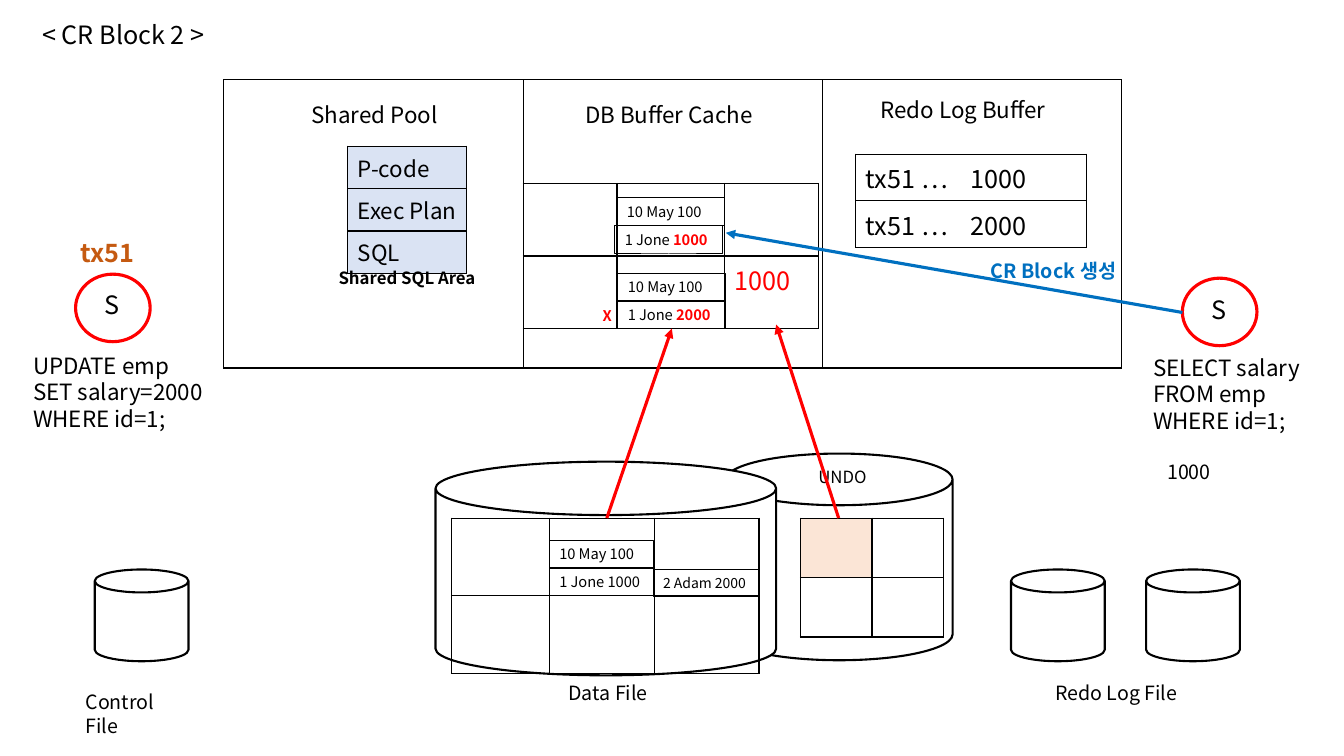
"""Draw the CR Block diagram on a grid of tenth-of-an-inch columns and rows."""
from dataclasses import dataclass, field

from lxml.etree import SubElement
from pptx import Presentation
from pptx.dml.color import RGBColor
from pptx.enum.shapes import MSO_CONNECTOR, MSO_SHAPE
from pptx.enum.text import MSO_ANCHOR, MSO_AUTO_SIZE, PP_ALIGN
from pptx.oxml import parse_xml
from pptx.oxml.ns import nsdecls, qn
from pptx.util import Inches, Pt

FONT = "Noto Sans CJK KR"
BLACK, WHITE, RED, BLUE = "000000", "FFFFFF", "FF0000", "0070C0"
ORANGE, PALE_BLUE, PALE_ORANGE = "C55A11", "DAE3F3", "FBE5D6"


@dataclass(frozen=True)
class Area:
    column: float
    row: float
    columns: float
    rows: float

    def box(self) -> tuple:
        return tuple(grid(n) for n in (self.column, self.row, self.columns, self.rows))


@dataclass(frozen=True)
class Label:
    area: Area
    lines: tuple
    size: float
    color: str = BLACK
    bold: bool = False
    align: PP_ALIGN = PP_ALIGN.LEFT


@dataclass(frozen=True)
class Record:
    area: Area
    name: str
    salary: str = ""
    size: float = 10.5


@dataclass(frozen=True)
class Table:
    column: float
    row: float
    widths: tuple
    heights: tuple
    texts: dict = field(default_factory=dict)
    fills: dict = field(default_factory=dict)
    size: float = 18
    color: str = BLACK
    tab: float = 0


@dataclass(frozen=True)
class Arrow:
    start: tuple
    end: tuple
    color: str


def grid(count: float) -> int:
    return Inches(round(count / 10, 3))


def rgb(color: str) -> RGBColor:
    return RGBColor.from_string(color)


def style(para, size: float, color: str, bold: bool = False) -> None:
    font = para.font
    font.name, font.size, font.bold = FONT, Pt(size), bold
    font.color.rgb = rgb(color)
    SubElement(para._p.pPr.find(qn("a:defRPr")), qn("a:ea"), typeface=FONT)


def draw_shape(page, kind: MSO_SHAPE, area: Area, color: str, width: float, fill: str = ""):
    shape = page.shapes.add_shape(kind, *area.box())
    shape.shadow.inherit = False
    shape.line.color.rgb = rgb(color)
    shape.line.width = Pt(width)
    if fill:
        shape.fill.solid()
        shape.fill.fore_color.rgb = rgb(fill)
    else:
        shape.fill.background()
    return shape


def draw_label(page, label: Label) -> None:
    frame = page.shapes.add_textbox(*label.area.box()).text_frame
    frame.word_wrap = True
    frame.auto_size = MSO_AUTO_SIZE.SHAPE_TO_FIT_TEXT
    for index, line in enumerate(label.lines):
        para = frame.add_paragraph() if index else frame.paragraphs[0]
        para.text = line
        para.alignment = label.align
        style(para, label.size, label.color, label.bold)


def draw_record(page, record: Record):
    shape = draw_shape(page, MSO_SHAPE.RECTANGLE, record.area, BLACK, 0.75)
    frame = shape.text_frame
    frame.word_wrap = True
    frame.vertical_anchor = MSO_ANCHOR.TOP
    frame.auto_size = MSO_AUTO_SIZE.SHAPE_TO_FIT_TEXT
    para = frame.paragraphs[0]
    para.alignment = PP_ALIGN.LEFT
    para.add_run().text = record.name
    style(para, record.size, BLACK)
    if record.salary:
        span = para.add_run()
        span.text = record.salary
        span.font.bold = True
        span.font.color.rgb = rgb(RED)
    return shape


def draw_table(page, spec: Table) -> None:
    area = Area(spec.column, spec.row, sum(spec.widths), sum(spec.heights))
    table = page.shapes.add_table(len(spec.heights), len(spec.widths), *area.box()).table
    table.first_row = table.horz_banding = False
    for column, width in zip(table.columns, spec.widths):
        column.width = grid(width)
    for row_index, height in enumerate(spec.heights):
        table.rows[row_index].height = grid(height)
        for column_index in range(len(spec.widths)):
            place = (row_index, column_index)
            cell = table.cell(*place)
            if place in spec.fills:
                cell.fill.solid()
                cell.fill.fore_color.rgb = rgb(spec.fills[place])
            else:
                cell.fill.background()
            for index, side in enumerate("LRTB"):
                cell._tc.tcPr.insert(index, parse_xml(
                    f'<a:ln{side} {nsdecls("a")} w="12700"><a:solidFill>'
                    f'<a:srgbClr val="{BLACK}"/></a:solidFill></a:ln{side}>'))
            para = cell.text_frame.paragraphs[0]
            para.text = spec.texts.get(place, "")
            if spec.tab:
                stops = SubElement(para._p.get_or_add_pPr(), qn("a:tabLst"))
                SubElement(stops, qn("a:tab"), pos=str(grid(spec.tab)), algn="l")
            style(para, spec.size, spec.color)


def draw_arrow(page, arrow: Arrow):
    ends = [grid(n) for n in arrow.start + arrow.end]
    line = page.shapes.add_connector(MSO_CONNECTOR.STRAIGHT, *ends)
    line.line.color.rgb = rgb(arrow.color)
    line.line.width = Pt(2.25)
    SubElement(line.line._get_or_add_ln(), qn("a:tailEnd"), type="triangle")
    SubElement(line._element.spPr, qn("a:effectLst"))
    return line


UNDO_CAN = Area(72, 45, 22.5, 20.5)
CANS = [Area(43.2, 45.8, 33.8, 21.2)] + [Area(left, 56.5, 9.3, 9.1) for left in (9.4, 100.3, 113.7)]
SESSIONS = [Area(7.5, 27.2, 7.4, 6.7), Area(117.3, 27.6, 7.4, 6.7)]
MEMORY = Table(22.2, 7.9, (29.7,) * 3, (28.6,))
TABLES = [
    Table(34.5, 14.5, (11.8,), (3.65, 3.8, 3.65),
          {(0, 0): "P-code", (1, 0): "Exec Plan", (2, 0): "SQL"},
          {(row, 0): PALE_BLUE for row in range(3)}, size=16),
    Table(44.8, 51.4, (9.7, 10.4, 10.4), (7.7, 7.7)),
    Table(51.9, 18.2, (9.3, 10.7, 9.3), (7.2, 7.2), {(1, 2): "1000"}, color=RED),
    Table(79.4, 51.4, (7.1, 7.1), (5.9, 5.9), fills={(0, 0): PALE_ORANGE}),
    Table(84.9, 15.3, (22.9,), (4, 4),
          {(0, 0): "tx51 …\t1000", (1, 0): "tx51 …\t2000"}, tab=10.4),
]
CHANGED = Record(Area(61.3, 29.8, 10.7, 2.8), "1 Jone ", "2000")
RECORDS = [
    Record(Area(54.5, 56.3, 10.3, 2.8), "1 Jone 1000"),
    Record(Area(64.8, 56.5, 10.6, 2.7), "2 Adam 2000", size=10),
    Record(Area(54.5, 53.6, 10.3, 2.8), "10 May 100"),
    Record(Area(61.3, 27.1, 10.7, 2.8), "10 May 100"),
    Record(Area(61, 22.4, 10.7, 2.8), "1 Jone ", "1000"),
    Record(Area(61.2, 19.6, 10.7, 2.8), "10 May 100"),
]
LABELS = [
    Label(Area(3.2, 1.4, 20.2, 4), ("< CR Block 2 >",), 18),
    Label(Area(24.9, 9.5, 24.5, 3.7), ("Shared Pool",), 16, align=PP_ALIGN.CENTER),
    Label(Area(54.1, 9.5, 24.5, 3.7), ("DB Buffer Cache",), 16, align=PP_ALIGN.CENTER),
    Label(Area(83.3, 9, 24.5, 3.7), ("Redo Log Buffer",), 16, align=PP_ALIGN.CENTER),
    Label(Area(32.6, 26.1, 16.9, 3), ("Shared SQL Area",), 12, bold=True),
    Label(Area(7, 23.1, 7.8, 4), ("tx51",), 18, ORANGE, True),
    Label(Area(9.4, 28.2, 4.4, 4), ("S",), 18),
    Label(Area(119.2, 28.7, 4.4, 4), ("S",), 18),
    Label(Area(2.3, 34.4, 25.3, 9.1), ("UPDATE emp", "SET salary=2000", "WHERE id=1;"), 16),
    Label(Area(113.4, 34.6, 19.5, 9.1), ("SELECT salary", "FROM emp", "WHERE id=1;"), 16),
    Label(Area(114.8, 45.1, 13.1, 3.4), ("1000",), 14),
    Label(Area(58.8, 29.9, 2.5, 2.8), ("X",), 10.5, RED, True),
    Label(Area(80.2, 45.8, 7.3, 3), ("UNDO",), 12),
    Label(Area(7.5, 68, 12.4, 3.4), ("Control File",), 14),
    Label(Area(55.4, 67.1, 12.4, 3.4), ("Data File",), 14),
    Label(Area(103.7, 67.1, 14.6, 3.4), ("Redo Log File",), 14),
]
BLOCK_READ = Arrow((60.2, 51.4), (66.6, 32.6), RED)
ARROWS = [Arrow((83.2, 51.4), (77, 32.2), RED), Arrow((117.3, 31), (72, 23.1), BLUE)]
CR_LABEL = Label(Area(97.3, 25.2, 17.6, 3.4), ("CR Block 생성",), 14, BLUE, True)


def main() -> None:
    deck = Presentation()
    deck.slide_width, deck.slide_height = grid(133.33), grid(75)
    page = deck.slides.add_slide(deck.slide_layouts[6])
    draw_shape(page, MSO_SHAPE.CAN, UNDO_CAN, BLACK, 1.5, WHITE)
    draw_table(page, MEMORY)
    for area in CANS:
        draw_shape(page, MSO_SHAPE.CAN, area, BLACK, 1.5, WHITE)
    for area in SESSIONS:
        draw_shape(page, MSO_SHAPE.OVAL, area, RED, 2.25, WHITE)
    for table in TABLES:
        draw_table(page, table)
    changed = draw_record(page, CHANGED)
    for record in RECORDS:
        draw_record(page, record)
    for label in LABELS:
        draw_label(page, label)
    draw_arrow(page, BLOCK_READ).end_connect(changed, 2)
    for arrow in ARROWS:
        draw_arrow(page, arrow)
    draw_label(page, CR_LABEL)
    deck.save("out.pptx")


if __name__ == "__main__":
    main()
